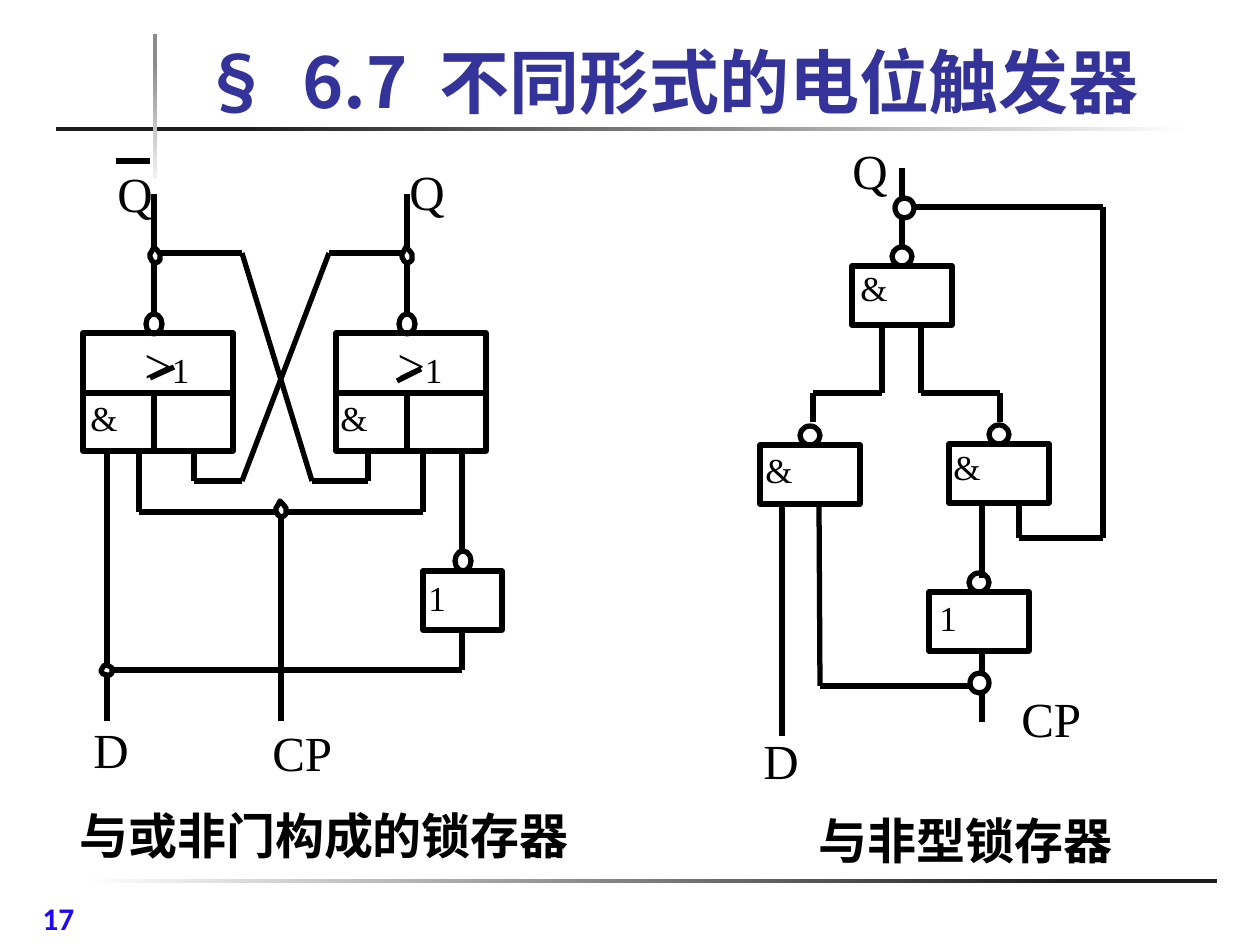
from itertools import pairwise

from lxml import etree
from pptx import Presentation
from pptx.dml.color import RGBColor
from pptx.enum.shapes import MSO_CONNECTOR, MSO_SHAPE
from pptx.enum.text import MSO_ANCHOR, MSO_AUTO_SIZE, PP_ALIGN
from pptx.oxml.ns import qn
from pptx.util import Pt

SCALE = 914400 / 126
STRAIGHT = MSO_CONNECTOR.STRAIGHT
RECTANGLE, OVAL = MSO_SHAPE.RECTANGLE, MSO_SHAPE.OVAL
TOP, MIDDLE, BOTTOM = MSO_ANCHOR.TOP, MSO_ANCHOR.MIDDLE, MSO_ANCHOR.BOTTOM
NO_FIT, LEFT = MSO_AUTO_SIZE.NONE, PP_ALIGN.LEFT
SERIF, SANS = "Times New Roman", "Noto Sans CJK SC"
COLORS = {"ink": "000000", "paper": "FFFFFF", "title": "333399", "number": "1F08F8",
          "dark": "1C1C1C", "gray": "8C8C8C", "pale": "F2F2F2"}
DROP = [(5, 16), (8, 15), (10, 13), (10, 7), (7, 3), (4, 0), (2, 4), (0, 7), (0, 10), (2, 14)]
FLAT_DROP = [(6, 10), (9, 10), (11, 8), (11, 3), (8, 1), (4, 0), (2, 2), (0, 6), (2, 9)]


def px(value):
    """Turn px into EMU."""
    return round(value * SCALE)


def color(name):
    """Look up a named colour."""
    return RGBColor.from_string(COLORS[name])


def write(box, spans, font, tint="ink", **formats):
    """Fill a box with one paragraph of (text, size, spacing) spans."""
    frame = box.text_frame
    settings = {"auto_size": NO_FIT, "word_wrap": True, "vertical_anchor": TOP}
    for name, value in (settings | formats).items():
        setattr(frame, name, value)
    para = frame.paragraphs[0]
    para.alignment = LEFT
    for text, size, spacing in spans:
        span = para.add_run()
        span.text = text
        values = {"name": font, "size": Pt(size), "bold": font != SERIF}
        for name, value in values.items():
            setattr(span.font, name, value)
        span.font.color.rgb = color(tint)
        properties = span.font._element
        if font == SANS:
            etree.SubElement(properties, qn("a:ea"), typeface=font)
        if spacing:
            properties.set("spc", str(spacing))


def add_label(shapes, area, *spans, wrap=False):
    """Add a serif label for a pin or a gate."""
    box = shapes.add_textbox(*map(px, area))
    drop = px(6 + spans[0][1] * 0.2)
    write(box, [(text, size, 0) for text, size in spans], SERIF, word_wrap=wrap, margin_top=drop)


def outline(shape, fill=None, line="ink"):
    """Give a shape a thick line and an optional fill."""
    shape.shadow.inherit = False
    if fill:
        shape.fill.solid()
        shape.fill.fore_color.rgb = color(fill)
    else:
        shape.fill.background()
    shape.line.color.rgb = color(line)
    shape.line.width = Pt(3)


def add_outline(shapes, kind, area, **formats):
    """Add an outlined preset shape."""
    shape = shapes.add_shape(kind, *map(px, area))
    outline(shape, **formats)
    return shape


def add_wire(shapes, *points):
    """Join successive points with straight connectors."""
    for start, end in pairwise(points):
        wire = shapes.add_connector(STRAIGHT, *map(px, start + end))
        wire.line.color.rgb = color("ink")
        wire.line.width = Pt(3)
        etree.SubElement(wire._element.spPr, qn("a:effectLst"))


def add_junction(shapes, left, top, points):
    """Add a drop-shaped junction."""
    corners = [(left + x, top + y) for x, y in points]
    builder = shapes.build_freeform(*corners[0], scale=SCALE)
    builder.add_line_segments(corners[1:], close=True)
    outline(builder.convert_to_shape(), fill="paper")


def add_bar(shapes, area, angle, *stops):
    """Add a thin bar with a two-stop gradient."""
    bar = shapes.add_shape(RECTANGLE, *map(px, area))
    bar.shadow.inherit = False
    bar.line.fill.background()
    bar.fill.gradient()
    bar.fill.gradient_angle = angle
    for stop, (position, tint) in zip(bar.fill.gradient_stops, stops):
        stop.position = position
        stop.color.rgb = color(tint)


def add_and_or_latch(shapes):
    """Draw the latch made of AND-OR-NOT gates."""
    for text, left, top, width in [("Q", 397, 150, 63), ("D", 81, 708, 60),
                                   ("CP", 260, 711, 86), ("Q", 105, 152, 63)]:
        add_label(shapes, (left, top, width, 72), (text, 28))
    add_wire(shapes, (116, 161), (150, 161))
    for left, middle, amp in [(336, 407, 328), (83, 154, 78)]:
        add_outline(shapes, RECTANGLE, (left, 333, 150, 118))
        add_wire(shapes, (left, 393), (left + 150, 393))
        add_wire(shapes, (middle, 393), (middle, 452))
        add_label(shapes, (middle - 22, 323, 71, 72), (">", 28), ("1", 20))
        add_outline(shapes, OVAL, (middle - 8, 314, 16, 20))
        add_wire(shapes, (middle, 314), (middle, 194))
        add_label(shapes, (amp, 386, 64, 54), ("&", 20), wrap=True)
    add_outline(shapes, RECTANGLE, (423, 571, 79, 59))
    add_outline(shapes, OVAL, (455, 551, 16, 20))
    add_label(shapes, (416, 566, 64, 54), ("1", 20), wrap=True)
    for route in [
        [(155, 253), (242, 253), (312, 481), (368, 481), (368, 452)],
        [(407, 253), (329, 253), (242, 481), (194, 481), (194, 452)],
        [(423, 452), (423, 512), (139, 512), (139, 452)],
        [(462, 551), (462, 452)],
        [(281, 512), (281, 721)],
        [(107, 452), (107, 721)],
        [(462, 631), (462, 670), (107, 670)],
        [(174, 367), (150, 378)],
        [(421, 369), (397, 381)],
    ]:
        add_wire(shapes, *route)
    for left, top in [(276, 501), (402, 247), (150, 247)]:
        add_junction(shapes, left, top, DROP)
    add_junction(shapes, 101, 665, FLAT_DROP)


def add_nand_latch(shapes):
    """Draw the latch made of NAND gates."""
    for route in [
        [(813, 422), (813, 393), (882, 393), (882, 324)],
        [(1000, 422), (1000, 393), (921, 393), (921, 324)],
        [(982, 578), (982, 500)],
        [(982, 654), (982, 722)],
        [(782, 501), (782, 736)],
        [(819, 503), (820, 686), (979, 686)],
        [(902, 246), (902, 168)],
        [(1019, 500), (1019, 538), (1103, 538), (1103, 207), (902, 207)],
    ]:
        add_wire(shapes, *route)
    for text, left, top, width in [("Q", 840, 129, 63), ("CP", 1009, 677, 86), ("D", 751, 719, 60)]:
        add_label(shapes, (left, top, width, 72), (text, 28))
    for text, left, top, text_left, text_top in [("&", 852, 266, 848, 256), ("&", 760, 445, 753, 438),
                                                 ("&", 949, 444, 941, 435), ("1", 929, 592, 927, 586)]:
        add_outline(shapes, RECTANGLE, (left, top, 100, 59))
        add_outline(shapes, OVAL, (left + 40, top - 19, 20, 19))
        add_label(shapes, (text_left, text_top, 64, 54), (text, 20), wrap=True)
    for left, top in [(895, 198), (970, 673)]:
        add_outline(shapes, OVAL, (left, top, 19, 20), fill="paper")


def main():
    """Build the slide of level-triggered latches."""
    deck = Presentation()
    deck.slide_width, deck.slide_height = px(1260), px(945)
    page = deck.slides.add_slide(deck.slide_layouts[5])
    shapes = page.shapes
    add_bar(shapes, (83, 879, 1134, 4), 0, (0, "paper"), (0.87, "dark"))
    add_bar(shapes, (56, 127, 1134, 4), 0, (0.16, "dark"), (1, "paper"))
    add_bar(shapes, (153, 34, 4, 145), 90, (0, "pale"), (0.8, "gray"))
    title = shapes.title
    for name, value in zip(("left", "top", "width", "height"), (176, 43, 1084, 80)):
        setattr(title, name, px(value))
    spans = [("§", 40, 0), (" ", 40, 900), ("6.7", 40, 0), (" ", 40, 900), ("不同形式的电位触发器", 40, 0)]
    write(title, spans, SANS, "title", vertical_anchor=BOTTOM, margin_left=px(25), margin_bottom=0)
    number = shapes.add_textbox(*map(px, (30, 893, 125, 47)))
    write(number, [("17", 18, 0)], "Calibri", "number")
    for text, area in [("与或非门构成的锁存器", (67, 799, 547, 72)), ("与非型锁存器", (806, 804, 321, 72))]:
        caption = add_outline(shapes, RECTANGLE, area, line="paper")
        write(caption, [(text, 28, 0)], SANS, vertical_anchor=MIDDLE, word_wrap=False)
    add_and_or_latch(shapes.add_group_shape().shapes)
    add_nand_latch(shapes.add_group_shape().shapes)
    deck.save("out.pptx")


if __name__ == "__main__":
    main()
